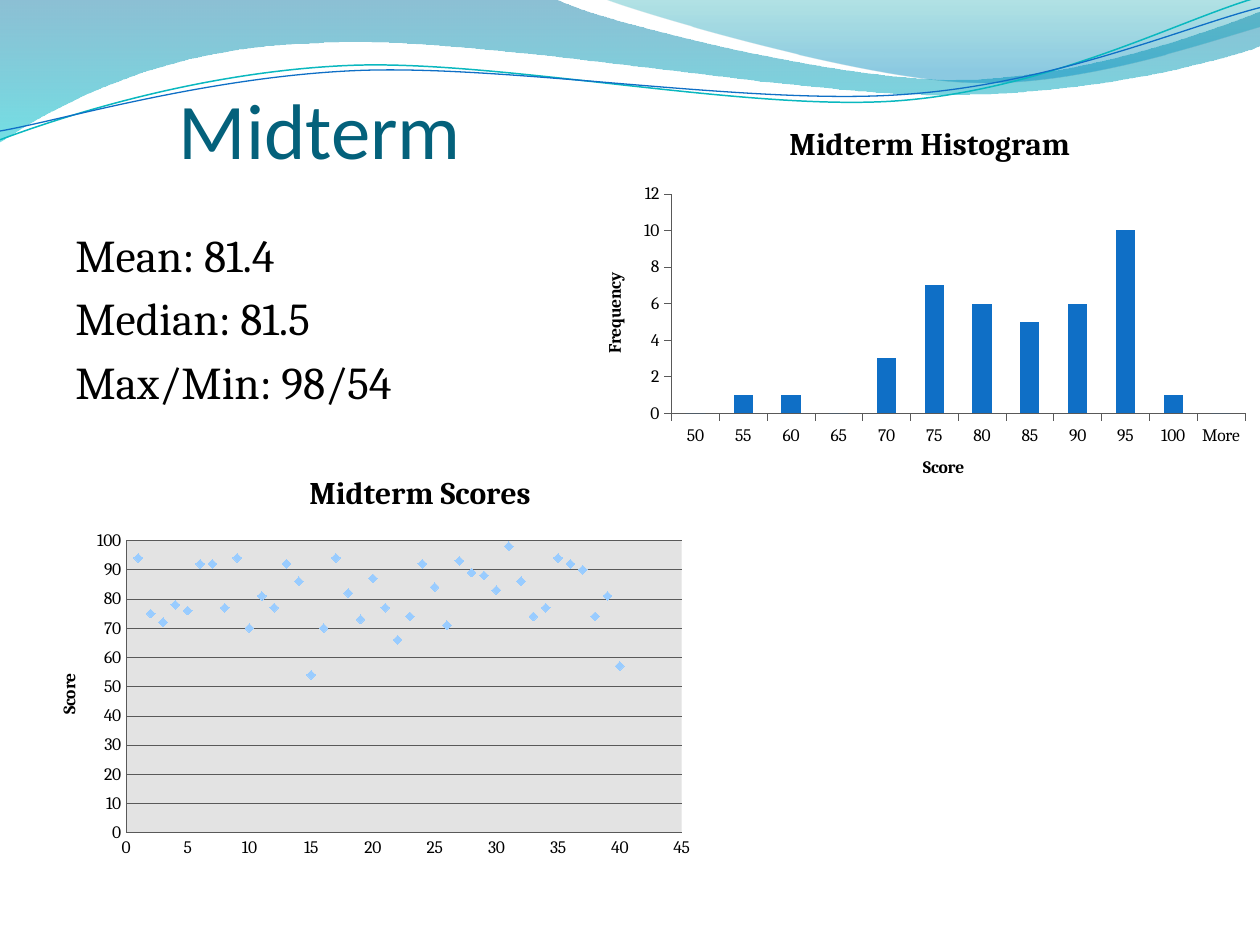
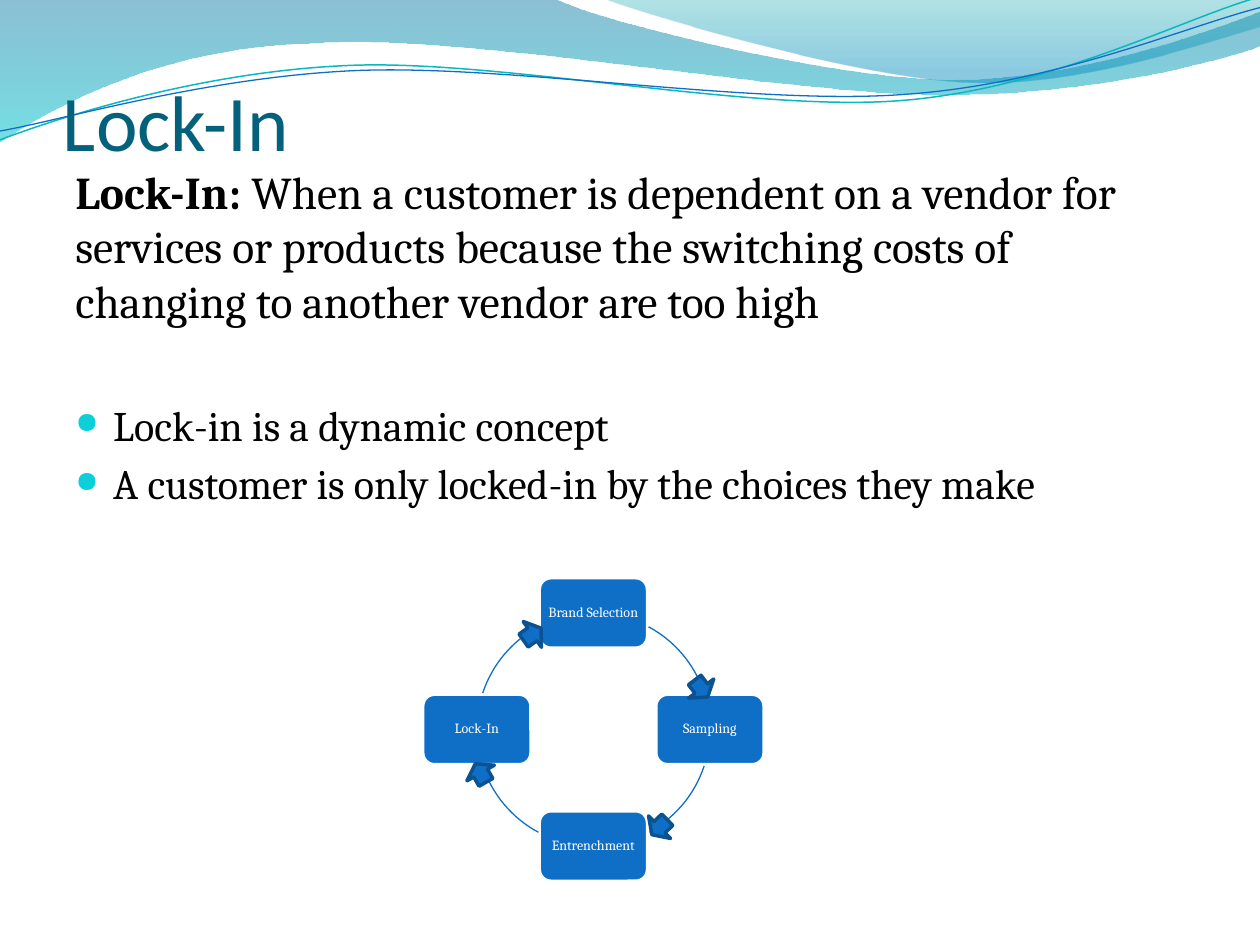
from math import cos, radians, sin, tan

from lxml import etree
from pptx import Presentation
from pptx.chart.data import CategoryChartData, XyChartData
from pptx.dml.color import RGBColor
from pptx.enum.chart import XL_CHART_TYPE as ChartType
from pptx.enum.chart import XL_MARKER_STYLE as Marker
from pptx.enum.chart import XL_TICK_MARK as Tick
from pptx.enum.shapes import MSO_SHAPE as Preset
from pptx.enum.text import MSO_ANCHOR as Anchor
from pptx.enum.text import PP_ALIGN as Align
from pptx.oxml.ns import qn
from pptx.util import Inches, Pt

WIDTH, HEIGHT = 10, 7.5
TITLE_FONT, BODY_FONT = "Calibri", "Cambria"
BLUE, DARK_BLUE, TEAL, CYAN = "0F6FC6", "0B5292", "04617B", "0BD0D9"
WHITE, BLACK, AXIS_GRAY = "FFFFFF", "000000", "595959"
MARKER_BLUE, PLOT_GRAY = "99CCFF", "BFBFBF"

WAVE_BANDS = [
    {"box": (-0.01, -0.01, 10.02, 1.14),
     "path": [(0, 0), (4.4, -0.01),
              (4.76, 0.17, 6.64, 0.63, 7.58, 0.63),
              (8.53, 0.63, 9.58, 0.26, 10, 0.09),
              (10.01, 0.36),
              (9.83, 0.44, 8.7, 0.76, 7.46, 0.75),
              (6.22, 0.75, 3.82, 0.28, 2.57, 0.34),
              (1.29, 0.36, 0.46, 0.83, -0.01, 1.13)],
     "stops": [(0, "0074A1", 45), (1, "00C6CF", 55)]},
    {"box": (4.79, -0.01, 5.21, 0.7),
     "path": [(4.79, -0.01),
              (5.09, 0.11, 6.82, 0.62, 7.69, 0.65),
              (8.56, 0.69, 9.61, 0.32, 10, 0.21),
              (10, 0)],
     "stops": [(0, "00A1A9", 30), (0.8, "008BBF", 45)]},
]
WAVE_TILT = 357.3
WAVE_LINES = [
    {"box": (-0.02, 0.22, 10.02, 0.71), "color": "0AB8BF", "weight": 0.85,
     "path": [(0, 1.11),
              (0.48, 0.93, 1.58, 0.57, 2.77, 0.52),
              (3.95, 0.47, 5.93, 0.89, 7.13, 0.8),
              (8.33, 0.71, 9.38, 0.15, 9.98, -0.02)]},
    {"box": (-0.02, 0.3, 10.03, 0.58), "color": BLUE, "weight": 0.75,
     "path": [(0, 1.04),
              (0.47, 0.96, 1.64, 0.61, 2.83, 0.56),
              (4.03, 0.51, 5.97, 0.84, 7.17, 0.75),
              (8.36, 0.67, 9.41, 0.21, 10, 0.06)]},
]

MIDTERM_STATS = [
    {"runs": [("Mean: 81.4", False)]},
    {"runs": [("Median: 81.5", False)]},
    {"runs": [("Max/Min: 98/54", False)]},
]
HISTOGRAM = {
    "box": (4.59, 0.83, 5.4, 3.17),
    "title": ("Midterm Histogram", 1.63, 0.1),
    "category_title": ("Score", 2.71, 2.76),
    "value_title": ("Frequency", 0.17, 1.31),
    "plot": (0.74, 0.71, 4.55, 1.74),
    "bins": ["50", "55", "60", "65", "70", "75", "80", "85", "90", "95", "100", "More"],
    "counts": [0, 1, 1, 0, 3, 7, 6, 5, 6, 10, 1, 0],
}
SCORES = {
    "box": (0.25, 3.58, 5.33, 3.29),
    "title": ("Midterm Scores", 2.16, 0.12),
    "value_title": ("Score", 0.18, 1.74),
    "plot": (0.75, 0.71, 4.41, 2.32),
    "points": [94, 75, 72, 78, 76, 92, 92, 77, 94, 70, 81, 77, 92, 86, 54, 70, 94, 82, 73, 87,
               77, 66, 74, 92, 84, 71, 93, 89, 88, 83, 98, 86, 74, 77, 94, 92, 90, 74, 81, 57],
}

LOCK_IN_TEXT = [
    {"runs": [("Lock-In: ", True),
              ("When a customer is dependent on a vendor for services or products because "
               "the switching costs of changing to another vendor are too high", False)]},
    {"runs": [("Lock-in is a dynamic concept", False)],
     "size": 24, "bullet": True, "before": 41},
    {"runs": [("A customer is only locked-in by the choices they make", False)],
     "size": 24, "bullet": True},
]
CYCLE_STEPS = ["Brand Selection", "Sampling", "Entrenchment", "Lock-In"]
CYCLE_CENTER, CYCLE_DIAMETER = (4.71, 5.79), 1.85
NODE_SIZE, ARROW_SIZE = (0.86, 0.56), (0.25, 0.17)
ARC_GAPS, ARC_SWEEP = (28.2, 18.2), 43.6
CYCLE_ARROWS = [(4.1, 4.95, 54.7), (5.44, 5.38, 142.7), (5.11, 6.48, 225.8), (3.69, 6.05, 330.4)]


def rgb(color):
    return RGBColor.from_string(color)


def inches(values):
    return [Inches(value) for value in values]


def set_alpha(element, percents):
    for color, percent in zip(element.iter(qn("a:srgbClr")), percents):
        etree.SubElement(color, qn("a:alpha")).set("val", str(percent * 1000))


def style_font(font, name, size, color, bold=False):
    font.name, font.size, font.bold = name, Pt(size), bold
    font.color.rgb = rgb(color)


def style_line(line, color, weight):
    line.color.rgb = rgb(color)
    line.width = Pt(weight)


def add_outline(shapes, box, path, tilt=0, close=False):
    left, top, width, height = box
    builder = shapes.build_freeform(Inches(left), Inches(top), scale=1.0)
    builder.add_line_segments([inches((left + width, top + height))], close=False)
    shape = builder.convert_to_shape()
    shape.shadow.inherit = False
    shape.rotation = tilt
    outline = next(shape._element.iter(qn("a:path")))
    for child in list(outline):
        outline.remove(child)
    turn_cos, turn_sin = cos(radians(-tilt)), sin(radians(-tilt))
    for index, segment in enumerate(path):
        kind = "moveTo" if index == 0 else "lnTo" if len(segment) == 2 else "cubicBezTo"
        command = etree.SubElement(outline, qn(f"a:{kind}"))
        for x, y in zip(segment[::2], segment[1::2]):
            dx, dy = x - left - width / 2, y - top - height / 2
            point = etree.SubElement(command, qn("a:pt"))
            point.set("x", str(Inches(width / 2 + turn_cos * dx - turn_sin * dy)))
            point.set("y", str(Inches(height / 2 + turn_sin * dx + turn_cos * dy)))
    if close:
        etree.SubElement(outline, qn("a:close"))
    return shape


def add_curve(shapes, box, path, color, weight, tilt=0):
    shape = add_outline(shapes, box, path, tilt)
    shape.fill.background()
    style_line(shape.line, color, weight)


def add_waves(slide):
    for band in WAVE_BANDS:
        shape = add_outline(slide.shapes, band["box"], band["path"], close=True)
        shape.line.fill.background()
        shape.fill.gradient()
        shape.fill.gradient_angle = 270
        for stop, (position, color, _) in zip(shape.fill.gradient_stops, band["stops"]):
            stop.position = position
            stop.color.rgb = rgb(color)
        set_alpha(shape._element.spPr, [stop[2] for stop in band["stops"]])
    group = slide.shapes.add_group_shape()
    for wave in WAVE_LINES:
        add_curve(group.shapes, wave["box"], wave["path"], wave["color"], wave["weight"],
                  WAVE_TILT)


def add_frame(slide, box):
    frame = slide.shapes.add_textbox(*inches(box)).text_frame
    frame.word_wrap = True
    return frame


def add_run(paragraph, text, font, size, color, bold=False):
    run = paragraph.add_run()
    run.text = text
    style_font(run.font, font, size, color, bold)


def add_bullet(paragraph):
    properties = paragraph._p.get_or_add_pPr()
    properties.set("marL", str(Inches(0.3)))
    properties.set("indent", str(-Inches(0.3)))
    color = etree.SubElement(properties, qn("a:buClr"))
    etree.SubElement(color, qn("a:srgbClr")).set("val", CYAN)
    etree.SubElement(properties, qn("a:buSzPct")).set("val", "70000")
    etree.SubElement(properties, qn("a:buChar")).set("char", "●")


def add_body(slide, box, items):
    frame = add_frame(slide, box)
    for index, item in enumerate(items):
        paragraph = frame.add_paragraph() if index else frame.paragraphs[0]
        size = item.get("size", 26)
        paragraph.space_before = Pt(item.get("before", size * 0.2))
        if item.get("bullet"):
            add_bullet(paragraph)
        for text, bold in item["runs"]:
            add_run(paragraph, text, BODY_FONT, size, BLACK, bold)


def start_slide(presentation, title, title_box):
    slide = presentation.slides.add_slide(presentation.slide_layouts[6])
    add_waves(slide)
    frame = add_frame(slide, title_box)
    frame.vertical_anchor = Anchor.BOTTOM
    frame.margin_left = frame.margin_right = frame.margin_bottom = 0
    add_run(frame.paragraphs[0], title, TITLE_FONT, 45, TEAL)
    return slide


def place(element, index, box, lengths):
    for old in element.findall(qn("c:layout")):
        element.remove(old)
    layout = etree.Element(qn("c:layout"))
    manual = etree.SubElement(layout, qn("c:manualLayout"))
    if len(lengths) == 4:
        etree.SubElement(manual, qn("c:layoutTarget")).set("val", "inner")
    for key in "xy":
        etree.SubElement(manual, qn(f"c:{key}Mode")).set("val", "edge")
    for key, length, whole in zip("xywh", lengths, box[2:] * 2):
        etree.SubElement(manual, qn(f"c:{key}")).set("val", str(length / whole))
    element.insert(index, layout)


def write_chart_title(title, box, content, size):
    text, *position = content
    add_run(title.text_frame.paragraphs[0], text, BODY_FONT, size, BLACK, True)
    place(title._element, 1, box, position)


def add_score_chart(slide, kind, data, content, tick):
    box = content["box"]
    chart = slide.shapes.add_chart(kind, *inches(box), data).chart
    chart.has_legend = False
    style_font(chart.font, BODY_FONT, 10, BLACK)
    chart.has_title = True
    write_chart_title(chart.chart_title, box, content["title"], 18)
    place(chart._chartSpace.chart.plotArea, 0, box, content["plot"])
    chart.plots[0].vary_by_categories = False
    for axis, key in ((chart.category_axis, "category_title"), (chart.value_axis, "value_title")):
        axis.major_tick_mark, axis.minor_tick_mark = tick, Tick.NONE
        axis.has_major_gridlines = False
        style_line(axis.format.line, AXIS_GRAY, 0.25)
        if key in content:
            axis.has_title = True
            write_chart_title(axis.axis_title, box, content[key], 10)
    return chart


def add_histogram(slide):
    data = CategoryChartData()
    data.categories = HISTOGRAM["bins"]
    data.add_series("Series 1", HISTOGRAM["counts"])
    chart = add_score_chart(slide, ChartType.COLUMN_CLUSTERED, data, HISTOGRAM, Tick.OUTSIDE)
    chart.plots[0].gap_width = 150
    fill = chart.plots[0].series[0].format.fill
    fill.solid()
    fill.fore_color.rgb = rgb(BLUE)


def add_scatter(slide):
    data = XyChartData()
    points = data.add_series("Series 1")
    for student, score in enumerate(SCORES["points"], start=1):
        points.add_data_point(student, score)
    chart = add_score_chart(slide, ChartType.XY_SCATTER, data, SCORES, Tick.NONE)
    axis = chart.value_axis
    axis.minimum_scale, axis.maximum_scale = 0, 100
    axis.has_major_gridlines = True
    style_line(axis.major_gridlines.format.line, AXIS_GRAY, 0.25)
    series = chart.plots[0].series[0]
    series.smooth = False
    series.format.line.fill.background()
    series.marker.style, series.marker.size = Marker.DIAMOND, 5
    series.marker.format.fill.solid()
    series.marker.format.fill.fore_color.rgb = rgb(MARKER_BLUE)
    series.marker.format.line.fill.background()
    backdrop = etree.SubElement(chart._chartSpace.chart.plotArea, qn("c:spPr"))
    fill = etree.SubElement(backdrop, qn("a:solidFill"))
    etree.SubElement(fill, qn("a:srgbClr")).set("val", PLOT_GRAY)
    set_alpha(backdrop, [43])


def ring_point(angle, ahead=0):
    turn, radius = radians(angle), CYCLE_DIAMETER / 2
    x, y = CYCLE_CENTER
    return (x + radius * (sin(turn) + ahead * cos(turn)),
            y - radius * (cos(turn) - ahead * sin(turn)))


def ring_arc(start):
    end = start + ARC_SWEEP
    reach = 4 / 3 * tan(radians(ARC_SWEEP / 4))
    return [ring_point(start),
            (*ring_point(start, reach), *ring_point(end, -reach), *ring_point(end))]


def add_block(shapes, preset, box, outline):
    shape = shapes.add_shape(preset, *inches(box))
    shape.shadow.inherit = False
    shape.fill.solid()
    shape.fill.fore_color.rgb = rgb(BLUE)
    style_line(shape.line, outline, 2)
    return shape


def add_cycle(slide):
    shapes = slide.shapes.add_group_shape().shapes
    width, height = NODE_SIZE
    ring_box = (*[middle - CYCLE_DIAMETER / 2 for middle in CYCLE_CENTER],
                CYCLE_DIAMETER, CYCLE_DIAMETER)
    for index, step in enumerate(CYCLE_STEPS):
        x, y = ring_point(90 * index)
        node = add_block(shapes, Preset.ROUNDED_RECTANGLE,
                         (x - width / 2, y - height / 2, width, height), WHITE)
        frame = node.text_frame
        frame.word_wrap, frame.vertical_anchor = True, Anchor.MIDDLE
        frame.margin_left = frame.margin_right = Inches(0.03)
        frame.margin_top = frame.margin_bottom = Inches(0.03)
        paragraph = frame.paragraphs[0]
        paragraph.alignment, paragraph.line_spacing = Align.CENTER, 0.9
        add_run(paragraph, step, BODY_FONT, 8, WHITE)
        add_curve(shapes, ring_box, ring_arc(90 * index + ARC_GAPS[index % 2]), BLUE, 0.75)
    for x, y, tilt in CYCLE_ARROWS:
        add_block(slide.shapes, Preset.UP_ARROW, (x, y, *ARROW_SIZE), DARK_BLUE).rotation = tilt


def main():
    presentation = Presentation()
    presentation.slide_width, presentation.slide_height = inches((WIDTH, HEIGHT))
    midterm = start_slide(presentation, "Midterm", (1.42, 0.58, 8.08, 0.81))
    add_body(midterm, (0.5, 1.75, 9, 5.17), MIDTERM_STATS)
    add_histogram(midterm)
    add_scatter(midterm)
    lock_in = start_slide(presentation, "Lock-In", (0.5, 0.77, 9, 0.56))
    add_body(lock_in, (0.5, 1.25, 9, 5.67), LOCK_IN_TEXT)
    add_cycle(lock_in)
    presentation.save("out.pptx")


if __name__ == "__main__":
    main()
